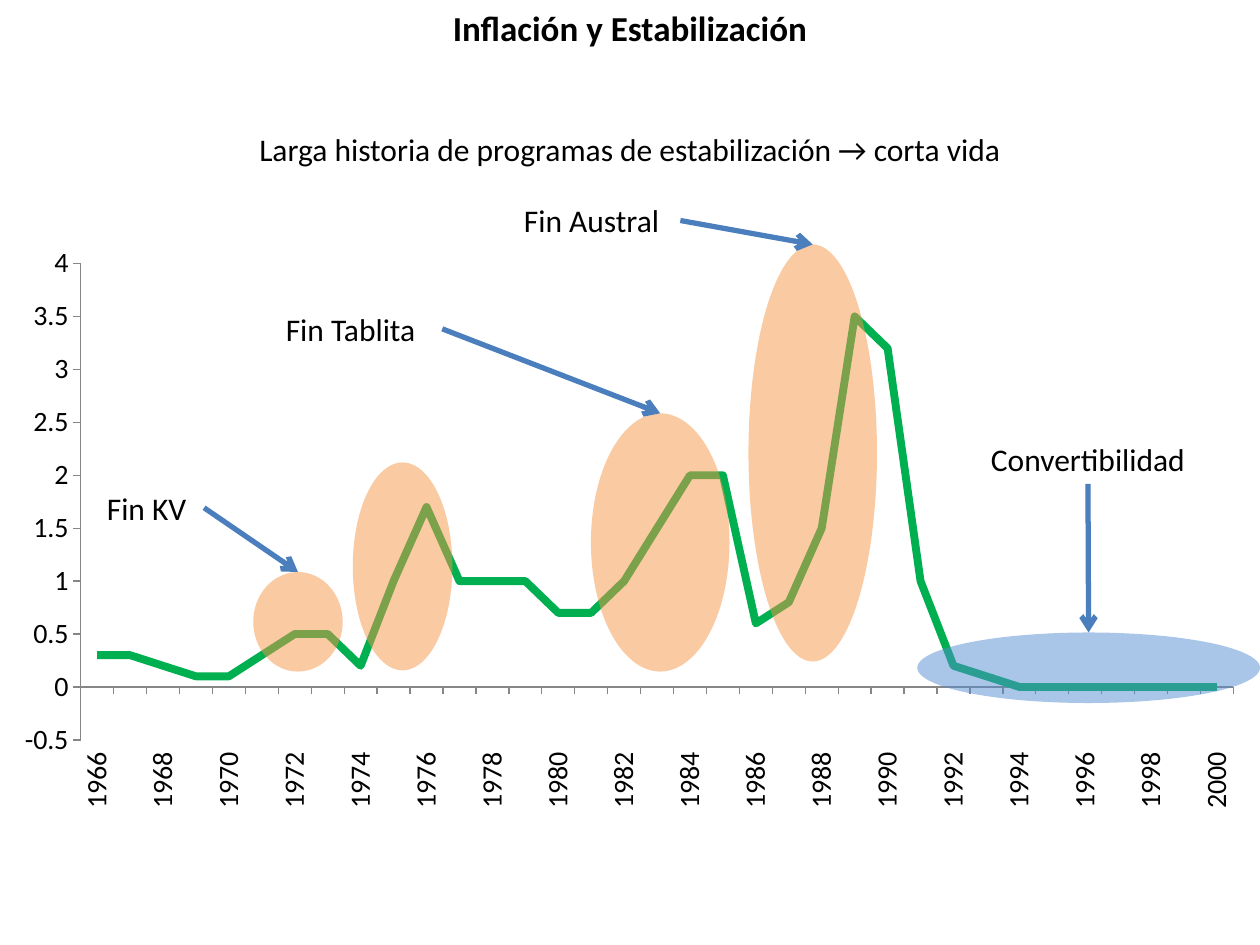
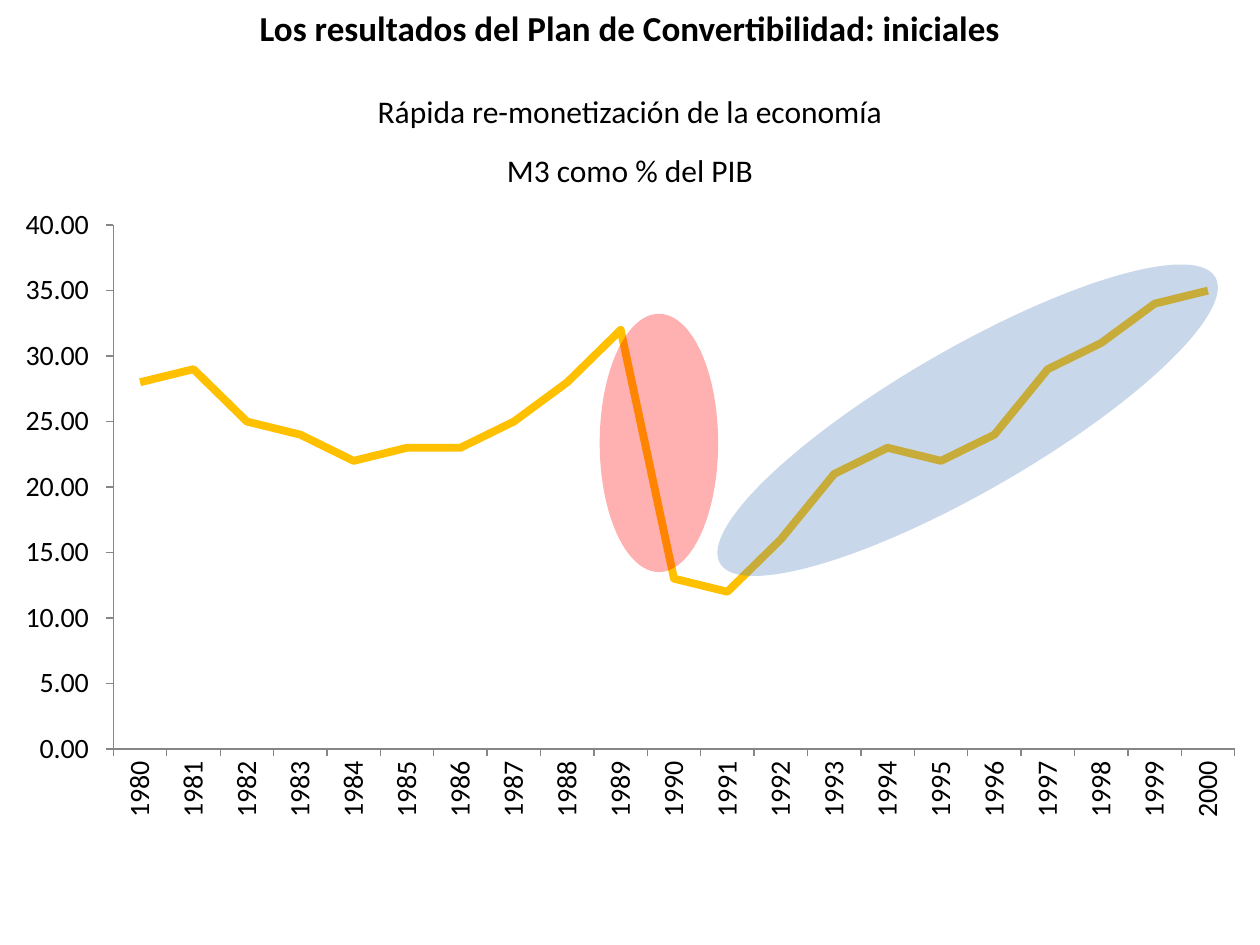
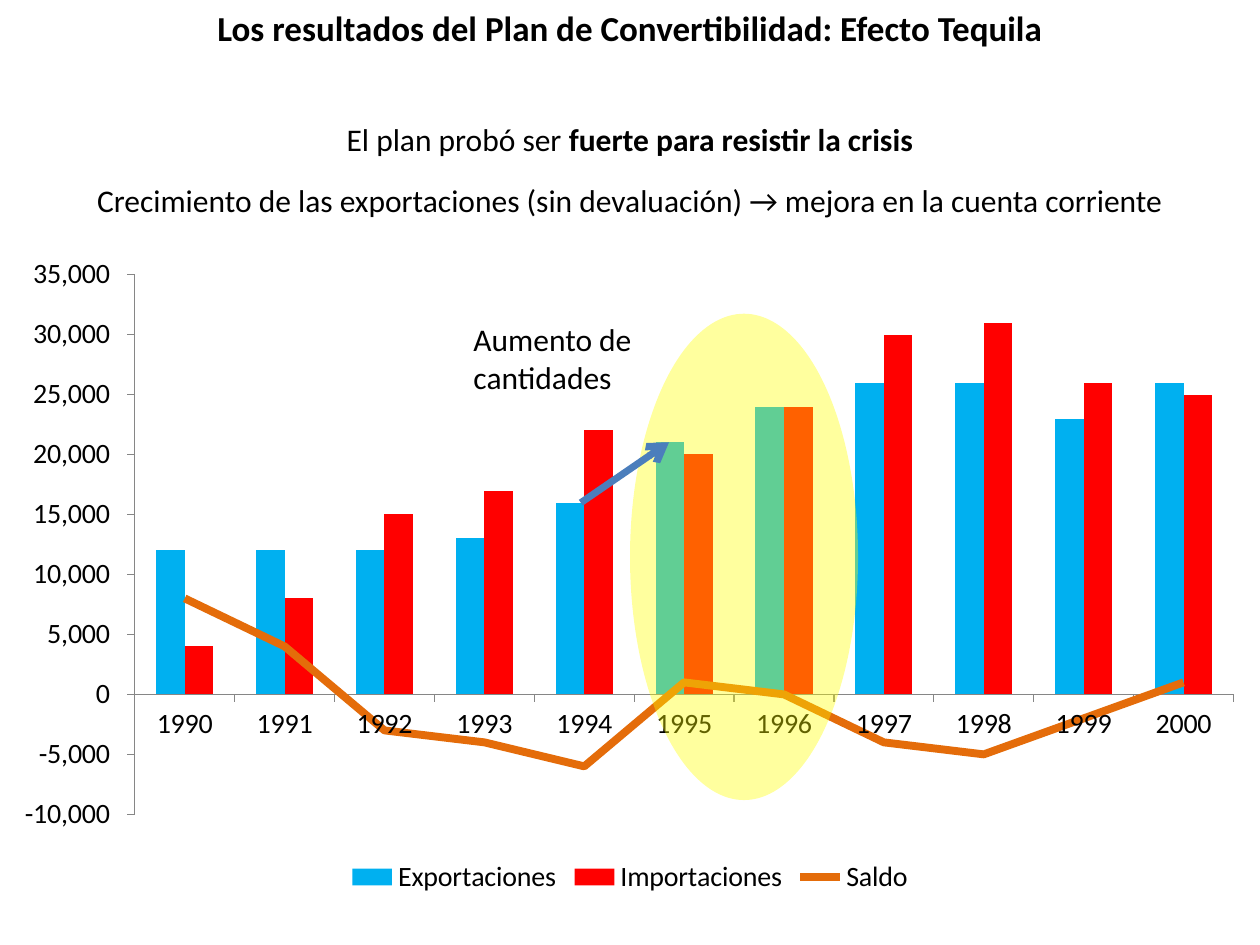
from dataclasses import dataclass
from typing import Optional

from lxml.etree import SubElement
from pptx import Presentation
from pptx.chart.chart import Chart
from pptx.chart.data import CategoryChartData
from pptx.dml.color import RGBColor
from pptx.enum.chart import (
    XL_CHART_TYPE,
    XL_LEGEND_POSITION,
    XL_MARKER_STYLE,
    XL_TICK_LABEL_POSITION,
    XL_TICK_MARK,
)
from pptx.enum.shapes import MSO_CONNECTOR, MSO_SHAPE
from pptx.enum.text import MSO_ANCHOR, MSO_AUTO_SIZE, PP_ALIGN
from pptx.oxml.ns import qn
from pptx.shapes.autoshape import Shape
from pptx.shapes.connector import Connector
from pptx.slide import Slide
from pptx.text.text import TextFrame
from pptx.util import Inches, Pt

FONT = "Calibri"
BLACK = RGBColor(0x00, 0x00, 0x00)
AXIS_GRAY = RGBColor(0x86, 0x86, 0x86)
ARROW_BLUE = RGBColor(0x4B, 0x7E, 0xBC)
ORANGE = RGBColor(0xF7, 0x96, 0x46)
SKY = RGBColor(0x55, 0x8E, 0xD5)
STEEL = RGBColor(0x4F, 0x81, 0xBD)
RED = RGBColor(0xFF, 0x00, 0x00)
YELLOW = RGBColor(0xFF, 0xFF, 0x00)
GREEN = RGBColor(0x00, 0xB0, 0x50)
GOLD = RGBColor(0xFF, 0xC0, 0x00)
CYAN = RGBColor(0x00, 0xB0, 0xF0)
RUST = RGBColor(0xE4, 0x6C, 0x0A)

SLIDE_WIDTH = 10
LINE_HEIGHT = 0.4
TOP, BOTTOM, RIGHT = 0, 2, 3


@dataclass(frozen=True)
class Box:
    left: float
    top: float
    width: float
    height: float

    def inches(self) -> tuple:
        return tuple(Inches(v) for v in (self.left, self.top, self.width, self.height))


@dataclass(frozen=True)
class Span:
    text: str
    bold: bool = False


@dataclass(frozen=True)
class Zone:
    box: Box
    color: RGBColor
    opacity: int
    rotation: int = 0


@dataclass(frozen=True)
class Callout:
    text: str
    box: Box
    zone: int
    start_side: int = RIGHT
    align: PP_ALIGN = PP_ALIGN.LEFT


@dataclass(frozen=True)
class Series:
    name: str
    values: tuple
    color: RGBColor


@dataclass(frozen=True)
class ChartPlan:
    box: Box
    plot: Box
    first_year: int
    series: tuple
    minimum: float
    maximum: float
    step: float
    number_format: str = "General"
    columns: bool = False
    label_skip: int = 1
    labels_low: bool = False


def write(frame: TextFrame, spans: tuple, size: int, align: PP_ALIGN) -> None:
    frame.word_wrap = True
    frame.auto_size = MSO_AUTO_SIZE.SHAPE_TO_FIT_TEXT
    frame.vertical_anchor = MSO_ANCHOR.TOP
    paragraph = frame.paragraphs[0]
    paragraph.alignment = align
    for span in spans:
        run = paragraph.add_run()
        run.text = span.text
        run.font.name = FONT
        run.font.size = Pt(size)
        run.font.bold = span.bold
        run.font.color.rgb = BLACK


def add_titled_slide(deck: Presentation, heading: str) -> Slide:
    slide = deck.slides.add_slide(deck.slide_layouts[5])
    title = slide.shapes.title
    title.left, title.top, title.width, title.height = Box(0, 0, SLIDE_WIDTH, 0.44).inches()
    write(title.text_frame, (Span(heading, True),), 20, PP_ALIGN.CENTER)
    return slide


def add_label(slide: Slide, box: Box, spans: tuple, align: PP_ALIGN) -> Shape:
    label = slide.shapes.add_textbox(*box.inches())
    write(label.text_frame, spans, 18, align)
    return label


def add_statement(slide: Slide, top: float, *spans: Span) -> None:
    add_label(slide, Box(0, top, SLIDE_WIDTH, LINE_HEIGHT), spans, PP_ALIGN.CENTER)


def add_zone(slide: Slide, zone: Zone) -> Shape:
    ellipse = slide.shapes.add_shape(MSO_SHAPE.OVAL, *zone.box.inches())
    ellipse.shadow.inherit = False
    ellipse.rotation = zone.rotation
    ellipse.fill.solid()
    ellipse.fill.fore_color.rgb = zone.color
    ellipse.line.fill.background()
    tint = ellipse.element.spPr.find(qn("a:solidFill")).find(qn("a:srgbClr"))
    SubElement(tint, qn("a:alpha"), val=str(zone.opacity * 1000))
    return ellipse


def add_arrow(slide: Slide, start: tuple, end: tuple, weight: float) -> Connector:
    arrow = slide.shapes.add_connector(
        MSO_CONNECTOR.STRAIGHT, *(Inches(v) for v in (*start, *end))
    )
    arrow.line.color.rgb = ARROW_BLUE
    arrow.line.width = Pt(weight)
    properties = arrow.element.spPr
    SubElement(properties.find(qn("a:ln")), qn("a:tailEnd"), type="arrow")
    SubElement(properties, qn("a:effectLst"))
    return arrow


def add_callout(slide: Slide, callout: Callout, target: Shape) -> None:
    label = add_label(slide, callout.box, (Span(callout.text),), callout.align)
    arrow = add_arrow(slide, (0, 0), (1, 1), 3)
    arrow.begin_connect(label, callout.start_side)
    arrow.end_connect(target, TOP)


def place_plot(chart: Chart, plot: Box) -> None:
    area = chart._chartSpace.chart.plotArea
    for layout in area.findall(qn("c:layout")):
        area.remove(layout)
    layout = SubElement(area, qn("c:layout"))
    area.insert(0, layout)
    manual = SubElement(layout, qn("c:manualLayout"))
    settings = {
        "layoutTarget": "inner", "xMode": "edge", "yMode": "edge",
        "x": plot.left, "y": plot.top, "w": plot.width, "h": plot.height,
    }
    for tag, value in settings.items():
        SubElement(manual, qn(f"c:{tag}"), val=str(value))


def turn_last_series_into_line(chart: Chart) -> None:
    columns = chart._chartSpace.chart.plotArea.find(qn("c:barChart"))
    balance = columns.findall(qn("c:ser"))[-1]
    for flag in balance.findall(qn("c:invertIfNegative")):
        balance.remove(flag)
    lines = SubElement(columns.getparent(), qn("c:lineChart"))
    columns.addnext(lines)
    SubElement(lines, qn("c:grouping"), val="standard")
    SubElement(lines, qn("c:varyColors"), val="0")
    lines.append(balance)
    SubElement(lines, qn("c:marker"), val="1")
    for axis in columns.findall(qn("c:axId")):
        SubElement(lines, qn("c:axId"), val=axis.get("val"))


def style_axes(chart: Chart, plan: ChartPlan) -> None:
    years, scale = chart.category_axis, chart.value_axis
    for axis in (years, scale):
        axis.has_major_gridlines = False
        axis.major_tick_mark = XL_TICK_MARK.OUTSIDE
        axis.minor_tick_mark = XL_TICK_MARK.NONE
        axis.format.line.color.rgb = AXIS_GRAY
        axis.format.line.width = Pt(0.75)
        axis.tick_labels.font.size = Pt(16)
    scale.minimum_scale = plan.minimum
    scale.maximum_scale = plan.maximum
    scale.major_unit = plan.step
    scale.tick_labels.number_format = plan.number_format
    scale.tick_labels.number_format_is_linked = False
    if plan.labels_low:
        years.tick_label_position = XL_TICK_LABEL_POSITION.LOW
    if not plan.columns:
        body = years._element.find(qn("c:txPr")).find(qn("a:bodyPr"))
        body.set("rot", "-5400000")
        body.set("vert", "horz")
    if plan.label_skip > 1:
        skip = SubElement(years._element, qn("c:tickLblSkip"), val=str(plan.label_skip))
        years._element.find(qn("c:noMultiLvlLbl")).addprevious(skip)


def add_year_chart(slide: Slide, plan: ChartPlan) -> None:
    data = CategoryChartData()
    count = len(plan.series[0].values)
    data.categories = [str(plan.first_year + i) for i in range(count)]
    for series in plan.series:
        data.add_series(series.name, series.values)
    kind = XL_CHART_TYPE.COLUMN_CLUSTERED if plan.columns else XL_CHART_TYPE.LINE
    chart = slide.shapes.add_chart(kind, *plan.box.inches(), data).chart
    chart.font.name = FONT
    chart.font.size = Pt(16)
    chart.font.color.rgb = BLACK
    chart.has_title = False
    chart.has_legend = plan.columns
    if plan.columns:
        chart.legend.position = XL_LEGEND_POSITION.BOTTOM
        chart.legend.include_in_layout = False
        chart.plots[0].gap_width = 150
        turn_last_series_into_line(chart)
    column_count = len(plan.series) - 1
    for index, (drawn, series) in enumerate(zip(chart.series, plan.series)):
        if index < column_count:
            drawn.format.fill.solid()
            drawn.format.fill.fore_color.rgb = series.color
            drawn.invert_if_negative = False
        else:
            drawn.format.line.color.rgb = series.color
            drawn.format.line.width = Pt(4.5)
            drawn.marker.style = XL_MARKER_STYLE.NONE
            drawn.smooth = False
    for plot in chart.plots:
        plot.vary_by_categories = False
    style_axes(chart, plan)
    place_plot(chart, plan.plot)


INFLATION = ChartPlan(
    Box(0, 1.86, 10, 4.65), Box(0.064, 0.05, 0.915, 0.813), 1966,
    (Series("Series 1", (
        0.3, 0.3, 0.2, 0.1, 0.1, 0.3, 0.5, 0.5, 0.2, 1, 1.7, 1, 1, 1, 0.7, 0.7, 1, 1.5,
        2, 2, 0.6, 0.8, 1.5, 3.5, 3.2, 1, 0.2, 0.1, 0, 0, 0, 0, 0, 0, 0,
    ), GREEN),),
    -0.5, 4, 0.5, label_skip=2, labels_low=True,
)
INFLATION_ZONES = (
    Zone(Box(2.01, 4.54, 0.71, 0.79), ORANGE, 50),
    Zone(Box(2.8, 3.67, 0.79, 1.65), ORANGE, 50),
    Zone(Box(4.69, 3.28, 1.1, 2.05), ORANGE, 50),
    Zone(Box(5.94, 1.94, 1.02, 3.31), ORANGE, 50),
    Zone(Box(7.28, 5.02, 2.72, 0.56), SKY, 50),
)
INFLATION_CALLOUTS = (
    Callout("Fin KV", Box(0.75, 3.83, 0.87, LINE_HEIGHT), 0),
    Callout("Fin Tablita", Box(2.17, 2.41, 1.34, LINE_HEIGHT), 2),
    Callout("Fin Austral", Box(4.06, 1.55, 1.34, LINE_HEIGHT), 3),
    Callout("Convertibilidad", Box(7.65, 3.44, 1.97, LINE_HEIGHT), 4, BOTTOM, PP_ALIGN.CENTER),
)
MONETIZATION = ChartPlan(
    Box(0, 1.55, 10, 5.04), Box(0.09, 0.047, 0.89, 0.825), 1980,
    (Series("Series 1", (
        28, 29, 25, 24, 22, 23, 23, 25, 28, 32, 13, 12, 16, 21, 23, 22, 24, 29, 31, 34, 35,
    ), GOLD),),
    0, 40, 5, r"#,##0.00\ \ ",
)
MONETIZATION_ZONES = (
    Zone(Box(4.76, 2.49, 0.94, 2.05), RED, 31),
    Zone(Box(5.41, 2.77, 4.54, 1.13), STEEL, 31, 330),
)
TRADE = ChartPlan(
    Box(0, 1.94, 10, 5.2), Box(0.107, 0.046, 0.872, 0.824), 1990,
    (
        Series("Exportaciones", (
            12000, 12000, 12000, 13000, 16000, 21000, 24000, 26000, 26000, 23000, 26000,
        ), CYAN),
        Series("Importaciones", (
            4000, 8000, 15000, 17000, 22000, 20000, 24000, 30000, 31000, 26000, 25000,
        ), RED),
        Series("Saldo", (
            8000, 4000, -3000, -4000, -6000, 1000, 0, -4000, -5000, -2000, 1000,
        ), RUST),
    ),
    -10000, 35000, 5000, r"#,##0\ \ ", columns=True,
)
TEQUILA_ZONE = Zone(Box(5, 2.49, 1.81, 3.86), YELLOW, 38)


def build_inflation(deck: Presentation) -> None:
    slide = add_titled_slide(deck, "Inflación y Estabilización")
    add_statement(slide, 0.98, Span("Larga historia de programas de estabilización → corta vida"))
    add_year_chart(slide, INFLATION)
    ellipses = [add_zone(slide, zone) for zone in INFLATION_ZONES]
    for callout in INFLATION_CALLOUTS:
        add_callout(slide, callout, ellipses[callout.zone])


def build_monetization(deck: Presentation) -> None:
    slide = add_titled_slide(deck, "Los resultados del Plan de Convertibilidad: iniciales")
    add_statement(slide, 0.68, Span("Rápida re-monetización de la economía"))
    add_year_chart(slide, MONETIZATION)
    add_statement(slide, 1.15, Span("M3 como % del PIB"))
    for zone in MONETIZATION_ZONES:
        add_zone(slide, zone)


def build_tequila(deck: Presentation) -> None:
    slide = add_titled_slide(deck, "Los resultados del Plan de Convertibilidad: Efecto Tequila")
    add_statement(
        slide, 0.9, Span("El plan probó ser "), Span("fuerte para resistir la crisis", True)
    )
    add_statement(slide, 1.39, Span(
        "Crecimiento de las exportaciones (sin devaluación) → mejora en la cuenta corriente"
    ))
    add_year_chart(slide, TRADE)
    add_zone(slide, TEQUILA_ZONE)
    add_arrow(slide, (4.61, 3.99), (5.31, 3.51), 4)
    add_label(
        slide, Box(3.66, 2.49, 1.73, 0.71), (Span("Aumento de cantidades"),), PP_ALIGN.LEFT
    )


def main() -> None:
    deck = Presentation()
    deck.slide_width = Inches(SLIDE_WIDTH)
    deck.slide_height = Inches(7.5)
    build_inflation(deck)
    build_monetization(deck)
    build_tequila(deck)
    deck.save("out.pptx")


if __name__ == "__main__":
    main()
